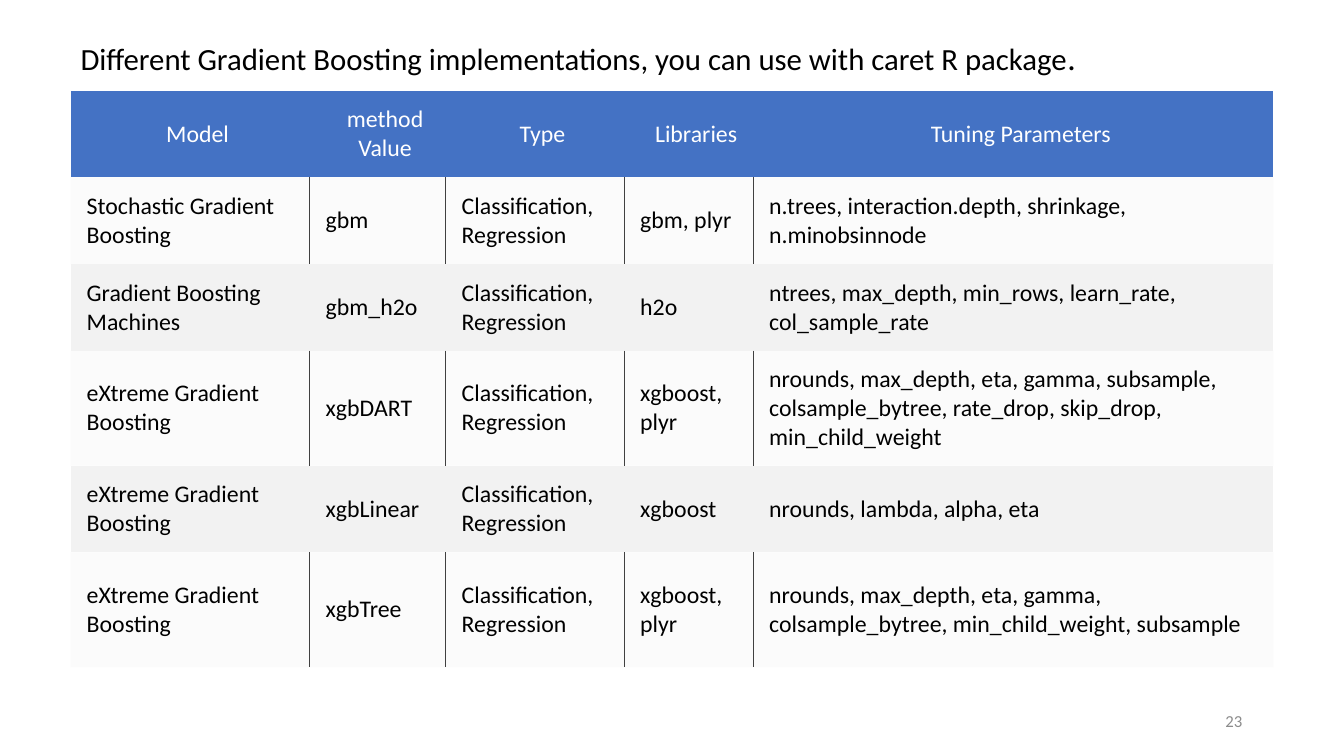
from lxml.etree import SubElement
from pptx import Presentation
from pptx.dml.color import RGBColor
from pptx.enum.text import MSO_ANCHOR, MSO_AUTO_SIZE, PP_ALIGN
from pptx.oxml import parse_xml
from pptx.oxml.ns import nsdecls, qn
from pptx.util import Pt

PX = 9144
FONT = "Calibri"
BLACK, WHITE, GRAY = "000000", "FFFFFF", "8C8C8C"
BLUE, BAND, RULE = "4472C4", "F2F2F2", "404040"
PLAIN = "{2D5ABB26-0587-4C30-8999-92F81FD0307C}"
COLS = [237, 135, 177, 128, 516]
ROWS = [86, 86, 86, 114, 86, 114]
KIND = "Classification, Regression"
XGB = "eXtreme Gradient Boosting"
DATA = [
    ["Model", "method Value", "Type", "Libraries", "Tuning Parameters"],
    ["Stochastic Gradient Boosting", "gbm", KIND, "gbm, plyr",
     "n.trees, interaction.depth, shrinkage, n.minobsinnode"],
    ["Gradient Boosting Machines", "gbm_h2o", KIND, "h2o",
     "ntrees, max_depth, min_rows, learn_rate, col_sample_rate"],
    [XGB, "xgbDART", KIND, "xgboost, plyr",
     "nrounds, max_depth, eta, gamma, subsample, colsample_bytree, "
     "rate_drop, skip_drop, min_child_weight"],
    [XGB, "xgbLinear", KIND, "xgboost", "nrounds, lambda, alpha, eta"],
    [XGB, "xgbTree", KIND, "xgboost, plyr",
     "nrounds, max_depth, eta, gamma, colsample_bytree, "
     "min_child_weight, subsample"],
]


def px(n):
    return n * PX


def paint(target, color):
    target.rgb = RGBColor.from_string(color)


def style(para, size, color, align=PP_ALIGN.LEFT):
    para.font.name = FONT
    para.font.size = Pt(size)
    para.alignment = align
    paint(para.font.color, color)


def add_box(slide, left, top, width, height):
    box = slide.shapes.add_textbox(px(left), px(top), px(width), px(height))
    box.text_frame.word_wrap = True
    return box.text_frame


def add_title(slide):
    frame = add_box(slide, 70, 32, 1109, 81)
    frame.auto_size = MSO_AUTO_SIZE.SHAPE_TO_FIT_TEXT
    para = frame.paragraphs[0]
    style(para, 22, BLACK)
    para.add_run().text = ("Different Gradient Boosting implementations, "
                           "you can use with caret R package")
    dot = para.add_run()
    dot.text = "."
    dot.font.size = Pt(24)


def add_number(slide):
    frame = add_box(slide, 942, 695, 300, 40)
    frame.vertical_anchor = MSO_ANCHOR.MIDDLE
    para = frame.paragraphs[0]
    para.text = "23"
    para.space_after = Pt(6)
    style(para, 12, GRAY, PP_ALIGN.RIGHT)


def add_rule(cell, index, side):
    line = parse_xml(
        f'<a:{side} {nsdecls("a")} w="{Pt(0.5)}"><a:solidFill>'
        f'<a:srgbClr val="{RULE}"/></a:solidFill></a:{side}>')
    cell._tc.get_or_add_tcPr().insert(index, line)


def fill_cell(cell, color, clear=False):
    cell.fill.solid()
    paint(cell.fill.fore_color, color)
    if clear:
        tone = next(cell._tc.tcPr.iter(qn("a:srgbClr")))
        SubElement(tone, qn("a:alpha")).set("val", "30000")


def set_cell(cell, text, row, col):
    head, odd = row == 0, row % 2 == 1
    cell.margin_left = px(16)
    cell.margin_right = px(1)
    cell.margin_top = cell.margin_bottom = px(12)
    cell.vertical_anchor = MSO_ANCHOR.MIDDLE
    cell.text = text
    style(cell.text_frame.paragraphs[0], 17, WHITE if head else BLACK,
          PP_ALIGN.CENTER if head else PP_ALIGN.LEFT)
    fill_cell(cell, BLUE if head else BAND, odd)
    if odd:
        sides = ["lnL"] * (col > 0) + ["lnR"] * (col < len(COLS) - 1)
        for index, side in enumerate(sides):
            add_rule(cell, index, side)


def add_grid(slide):
    grid = slide.shapes.add_table(len(ROWS), len(COLS), px(70), px(90),
                                  px(sum(COLS)), px(sum(ROWS))).table
    grid.horz_banding = False
    grid._tbl.tblPr.find(qn("a:tableStyleId")).text = PLAIN
    for col, width in zip(grid.columns, COLS):
        col.width = px(width)
    for row, height in zip(grid.rows, ROWS):
        row.height = px(height)
    for row, texts in enumerate(DATA):
        for col, text in enumerate(texts):
            set_cell(grid.cell(row, col), text, row, col)


def main():
    deck = Presentation()
    deck.slide_width, deck.slide_height = px(1333), px(750)
    slide = deck.slides.add_slide(deck.slide_layouts[6])
    add_number(slide)
    add_grid(slide)
    add_title(slide)
    deck.save("out.pptx")


if __name__ == "__main__":
    main()
